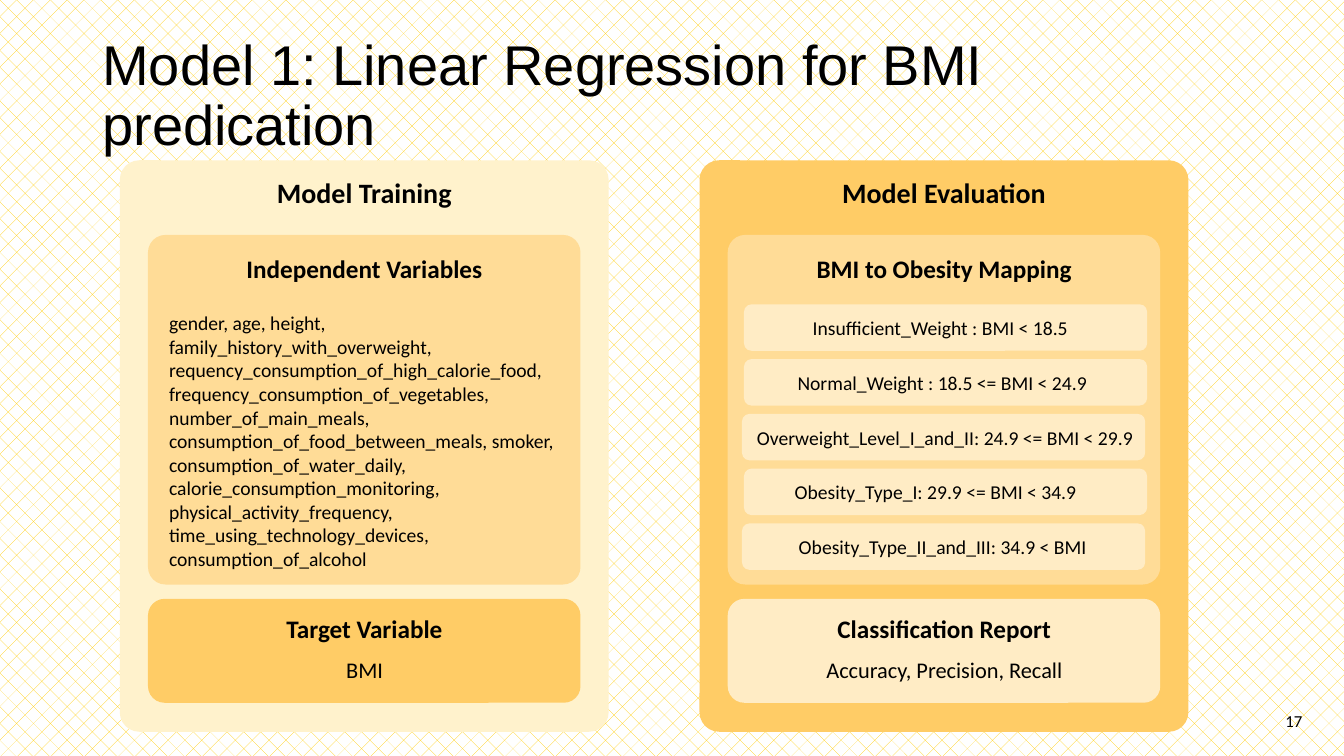
import pptx
import pptx.dml.color
import pptx.enum.dml
import pptx.enum.shapes
import pptx.enum.text
import pptx.util

Cm = pptx.util.Cm
RGBColor = pptx.dml.color.RGBColor
ALIGN = pptx.enum.text.PP_ALIGN
ANCHOR = pptx.enum.text.MSO_ANCHOR

BLACK = RGBColor(0x00, 0x00, 0x00)
WHITE = RGBColor(0xFF, 0xFF, 0xFF)
YELLOW = RGBColor(0xFF, 0xCC, 0x00)
CREAM = RGBColor(0xFF, 0xF2, 0xCC)
AMBER = RGBColor(0xFF, 0xCC, 0x66)
PEACH = RGBColor(0xFF, 0xDC, 0x97)
PALE = RGBColor(0xFF, 0xEC, 0xC5)

PANEL_TOP, PANEL_WIDTH, PANEL_HEIGHT = 4.04, 12.32, 14.4
TRAINING_LEFT, EVALUATION_LEFT = 3.02, 17.63
LEVEL_TOP, LEVEL_PITCH = 7.67, 1.38

VARIABLES = (
    "gender, age, height, family_history_with_overweight, "
    "requency_consumption_of_high_calorie_food, "
    "frequency_consumption_of_vegetables, number_of_main_meals, "
    "consumption_of_food_between_meals, smoker, "
    "consumption_of_water_daily, calorie_consumption_monitoring, "
    "physical_activity_frequency, time_using_technology_devices, "
    "consumption_of_alcohol"
)
# Label, left of its bar, centre of its text
LEVELS = [
    ("Insufficient_Weight : BMI < 18.5", 18.75, 23.7),
    ("Normal_Weight : 18.5 <= BMI < 24.9", 18.75, 23.75),
    ("Overweight_Level_I_and_II: 24.9 <= BMI < 29.9", 18.7, 23.82),
    ("Obesity_Type_I: 29.9 <= BMI < 34.9", 18.75, 23.58),
    ("Obesity_Type_II_and_III: 34.9 < BMI", 18.7, 23.76),
]


def add_text(shapes, text, left, top, width, height, *, size=14, bold=False,
             font="Calibri", align=ALIGN.CENTER, anchor=ANCHOR.TOP, spacing=None):
    sp = shapes.add_textbox(Cm(left), Cm(top), Cm(width), Cm(height))
    tf = sp.text_frame
    tf.word_wrap = True
    tf.vertical_anchor = anchor
    p = tf.paragraphs[0]
    p.alignment = align
    if spacing:
        p.line_spacing = spacing
    r = p.add_run()
    r.text = text
    r.font.name = font
    r.font.size = pptx.util.Pt(size)
    r.font.bold = bold
    r.font.color.rgb = BLACK


def add_box(shapes, left, top, width, height, color, rounding):
    sp = shapes.add_shape(pptx.enum.shapes.MSO_SHAPE.ROUNDED_RECTANGLE,
                          Cm(left), Cm(top), Cm(width), Cm(height))
    sp.adjustments[0] = rounding
    sp.fill.solid()
    sp.fill.fore_color.rgb = color
    sp.line.fill.background()
    sp.shadow.inherit = False


def add_panel(shapes, left, heading, color):
    add_box(shapes, left, PANEL_TOP, PANEL_WIDTH, PANEL_HEIGHT, color, 0.04)
    add_text(shapes, heading, left, 4.3, PANEL_WIDTH, 1.12, size=20, bold=True)


def add_card(shapes, panel_left, top, height, heading, heading_top, color, rounding):
    """Add a headed card inside a panel and return the shapes of its group."""
    card = shapes.add_group_shape().shapes
    add_box(card, panel_left + 0.71, top, 10.9, height, color, rounding)
    add_text(card, heading, panel_left + 2.33, heading_top, 7.67, 1.02,
             size=18, bold=True)
    return card


def add_main_card(shapes, panel_left, heading):
    return add_card(shapes, panel_left, 5.92, 8.81, heading, 6.25, PEACH, 0.05)


def add_result_card(shapes, panel_left, heading, caption, color):
    card = add_card(shapes, panel_left, 15.09, 2.62, heading, 15.34, color, 0.16)
    add_text(card, caption, panel_left + 1.17, 16.41, 10, 0.94, size=16)


def add_levels(shapes):
    levels = shapes.add_group_shape().shapes
    for i, (label, left, center) in enumerate(LEVELS):
        top = LEVEL_TOP + i * LEVEL_PITCH
        add_box(levels, left, top, 10.16, 1.17, PALE, 0.16)
        add_text(levels, label, center - 5.08, top + 0.17, 10.16, 0.86)


def set_background(slide):
    fill = slide.background.fill
    fill.patterned()
    fill.pattern = pptx.enum.dml.MSO_PATTERN.DOTTED_DIAMOND
    fill.fore_color.rgb = YELLOW
    fill.back_color.rgb = WHITE


def main():
    prs = pptx.Presentation()
    prs.slide_width, prs.slide_height = Cm(33.87), Cm(19.05)
    slide = prs.slides.add_slide(prs.slide_layouts[6])
    set_background(slide)
    shapes = slide.shapes

    add_panel(shapes, TRAINING_LEFT, "Model Training", CREAM)
    card = add_main_card(shapes, TRAINING_LEFT, "Independent Variables")
    add_text(card, VARIABLES, 4.01, 7.72, 10.34, 6.83, align=ALIGN.LEFT)
    add_result_card(shapes, TRAINING_LEFT, "Target Variable", "BMI", AMBER)

    add_panel(shapes, EVALUATION_LEFT, "Model Evaluation", AMBER)
    add_main_card(shapes, EVALUATION_LEFT, "BMI to Obesity Mapping")
    add_levels(shapes)
    add_result_card(shapes, EVALUATION_LEFT, "Classification Report",
                    "Accuracy, Precision, Recall", PALE)

    add_text(shapes, "Model 1: Linear Regression for BMI predication",
             2.33, 0.61, 29.21, 3.68, size=40, font="Arial",
             align=ALIGN.LEFT, anchor=ANCHOR.MIDDLE, spacing=0.9)
    add_text(shapes, "17", 25.45, 17.65, 7.62, 1.02, size=12,
             align=ALIGN.RIGHT, anchor=ANCHOR.MIDDLE)
    prs.save("out.pptx")


if __name__ == "__main__":
    main()
